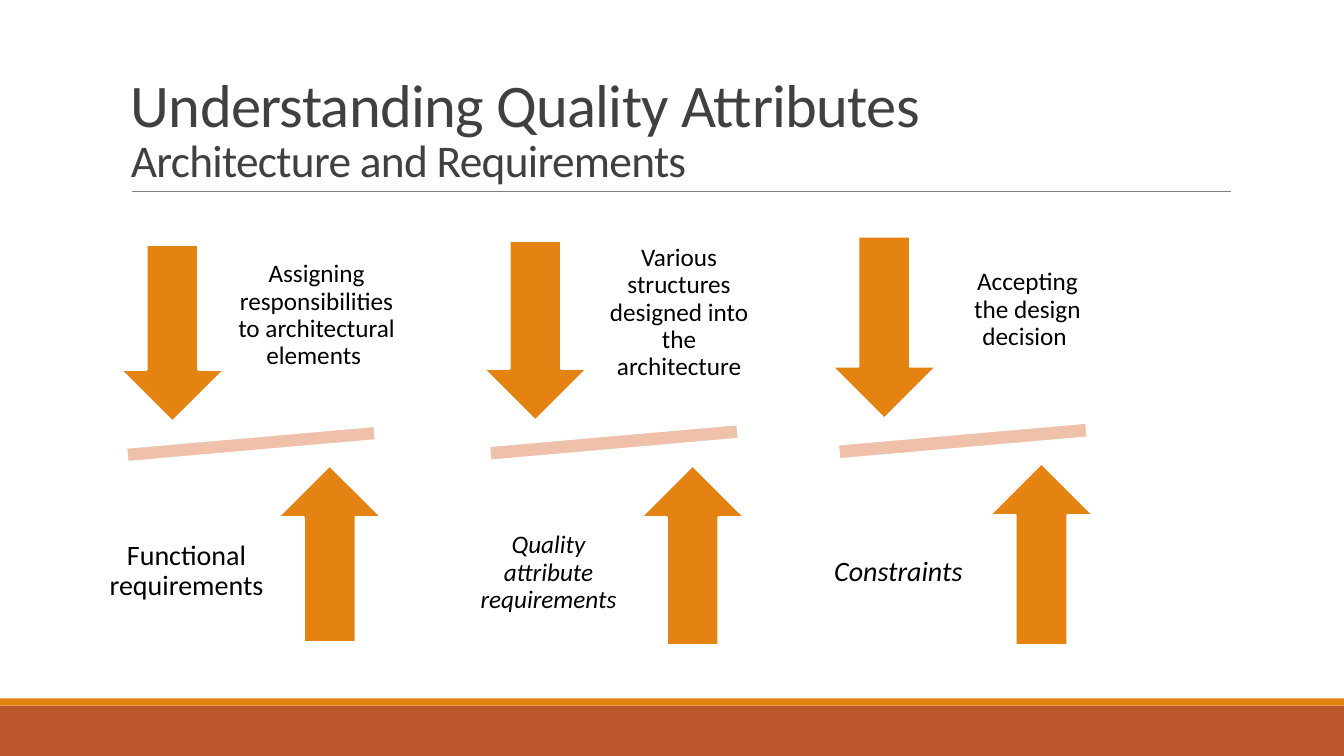
"""Build a slide relating architecture to three kinds of requirements."""
from typing import NamedTuple

from lxml import etree
from pptx import Presentation
from pptx import util as u
from pptx.dml.color import RGBColor
from pptx.enum import shapes, text
from pptx.oxml import ns

PX = 9144
FONT = "Calibri"
COLOURS = {
    "band": "BD582C", "accent": "E48312", "beam": "EFC1AB", "outline": "FFFFFF",
    "rule": "808080", "title": "404040", "body": "000000",
}


class Frame(NamedTuple):
    left: int
    top: int
    width: int
    height: int

    def emu(self) -> tuple[int, ...]:
        return tuple(value * PX for value in self)


class Label(NamedTuple):
    wording: str
    frame: Frame
    size: int = 18
    italic: bool = False


class Balance(NamedTuple):
    beam: Frame
    down_top: int
    up_top: int
    arrow_height: int
    response: Label
    requirement: Label


BALANCES = [
    Balance(Frame(81, 411, 336, 59), 243, 462, 175,
            Label("Assigning responsibilities to architectural elements ",
                  Frame(219, 221, 190, 184)),
            Label("Functional requirements", Frame(89, 475, 192, 184), 20)),
    Balance(Frame(441, 409, 336, 60), 239, 462, 178,
            Label("Various structures designed into the architecture",
                  Frame(579, 217, 189, 187)),
            Label("Quality attribute requirements",
                  Frame(448, 475, 192, 187), italic=True)),
    Balance(Frame(787, 407, 336, 61), 235, 460, 180,
            Label("Accepting the design decision ", Frame(940, 213, 158, 189)),
            Label("Constraints", Frame(795, 473, 192, 189), 20, True)),
]


def colour(name: str) -> RGBColor:
    return RGBColor.from_string(COLOURS[name])


def add_figure(parent, kind, frame: Frame, fill: str, outlined: bool = False):
    figure = parent.add_shape(kind, *frame.emu())
    figure.shadow.inherit = False
    figure.fill.solid()
    figure.fill.fore_color.rgb = colour(fill)
    if outlined:
        figure.line.color.rgb = colour("outline")
        figure.line.width = u.Pt(1.25)
    else:
        figure.line.fill.background()
    return figure


def add_label(parent, label: Label) -> None:
    box = parent.add_textbox(*label.frame.emu())
    body = box.text_frame
    body.text = label.wording
    body.word_wrap = True
    body.vertical_anchor = text.MSO_ANCHOR.MIDDLE
    inset = (16 if label.size == 20 else 14) * PX
    body.margin_left = body.margin_right = inset
    body.margin_top = body.margin_bottom = inset
    para = body.paragraphs[0]
    para.alignment = text.PP_ALIGN.CENTER
    para.line_spacing = 0.9
    font = para.runs[0].font
    font.name, font.size, font.italic = FONT, u.Pt(label.size), label.italic
    font.color.rgb = colour("body")


def add_balance(page, balance: Balance) -> None:
    group = page.shapes.add_group_shape().shapes
    kinds = shapes.MSO_SHAPE
    beam = add_figure(group, kinds.MATH_MINUS, balance.beam, "beam", True)
    beam.rotation = 355
    left, height = balance.beam.left, balance.arrow_height
    add_figure(group, kinds.DOWN_ARROW,
               Frame(left + 39, balance.down_top, 102, height), "accent", True)
    add_label(group, balance.response)
    add_figure(group, kinds.UP_ARROW,
               Frame(left + 195, balance.up_top, 102, height), "accent", True)
    add_label(group, balance.requirement)


def add_title(page) -> None:
    box = page.shapes.add_textbox(*Frame(120, 31, 1100, 159).emu())
    body = box.text_frame
    body.word_wrap = True
    body.vertical_anchor = text.MSO_ANCHOR.BOTTOM
    para = body.paragraphs[0]
    para.text = "Understanding Quality Attributes\vArchitecture and Requirements"
    para.line_spacing = 0.85
    for span, size in zip(para.runs, (43.2, 32.4)):
        span.font.name, span.font.size = FONT, u.Pt(size)
        span.font.color.rgb = colour("title")
    for properties in box.element.iter(ns.qn("a:rPr")):
        properties.set("spc", "-50")


def add_rule(page) -> None:
    rule = page.shapes.add_connector(
        shapes.MSO_CONNECTOR.STRAIGHT, 131 * PX, 190 * PX, 1221 * PX, 190 * PX)
    rule.line.color.rgb = colour("rule")
    rule.line.width = u.Pt(0.5)
    etree.SubElement(rule.element.spPr, ns.qn("a:effectLst"))


def main() -> None:
    deck = Presentation()
    deck.slide_width, deck.slide_height = 1333 * PX, 750 * PX
    page = deck.slides.add_slide(deck.slide_layouts[6])
    rectangle = shapes.MSO_SHAPE.RECTANGLE
    add_figure(page.shapes, rectangle, Frame(0, 700, 1333, 50), "band")
    add_figure(page.shapes, rectangle, Frame(0, 693, 1333, 7), "accent")
    add_rule(page)
    add_title(page)
    for balance in BALANCES:
        add_balance(page, balance)
    deck.save("out.pptx")


if __name__ == "__main__":
    main()
